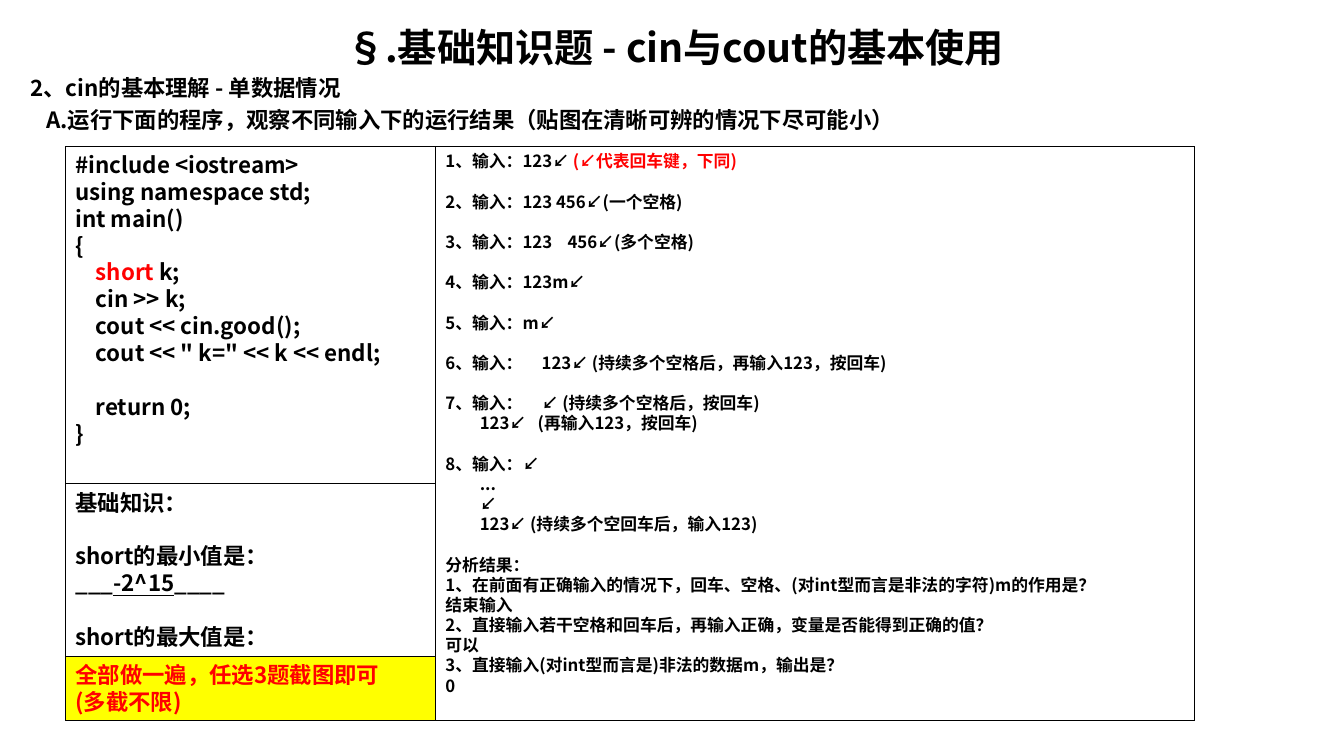
from pptx import Presentation
from pptx.dml.color import RGBColor
from pptx.enum.shapes import MSO_SHAPE as Shape
from pptx.enum.text import MSO_ANCHOR as Anchor, MSO_AUTO_SIZE as Auto, PP_ALIGN as Align
from pptx.oxml.ns import qn
from pptx.util import Inches, Pt
from lxml.etree import SubElement

COLS = [0.2, 0.65, 4.32, 11.85, 13.19]
ROWS = [0.18, 0.69, 1.45, 4.8, 6.51, 7.15]
BLACK, RED, YELLOW = "000000", "FF0000", "FFFF00"

# An empty entry leaves one line free; a leading tab indents the line.
HEAD = ["§.基础知识题 - cin与cout的基本使用"]
LEAD = ["2、cin的基本理解 - 单数据情况",
        "\tA.运行下面的程序，观察不同输入下的运行结果（贴图在清晰可辨的情况下尽可能小）"]
CODE = ["#include <iostream>", "using namespace std;", "int main()", "{",
        ["    ", ("short", {"color": RED}), " k;"],
        "    cin >> k;", "    cout << cin.good();",
        '    cout << " k=" << k << endl;', "", "    return 0;", "}"]
TASKS = [["1、输入：123↙", (" (↙代表回车键，下同)", {"color": RED})], "",
         "2、输入：123 456↙(一个空格)", "",
         "3、输入：123    456↙(多个空格)", "",
         "4、输入：123m↙", "",
         "5、输入：m↙", "",
         "6、输入：     123↙ (持续多个空格后，再输入123，按回车)", "",
         "7、输入：     ↙ (持续多个空格后，按回车)",
         "\t123↙   (再输入123，按回车)", "",
         "8、输入：↙", "\t...", "\t↙",
         "\t123↙ (持续多个空回车后，输入123)", "",
         "分析结果：",
         "1、在前面有正确输入的情况下，回车、空格、(对int型而言是非法的字符)m的作用是？",
         "结束输入",
         "2、直接输入若干空格和回车后，再输入正确，变量是否能得到正确的值？",
         "可以",
         "3、直接输入(对int型而言是)非法的数据m，输出是？",
         "0"]
FACTS = ["基础知识：", "", "short的最小值是：",
         ["___", ("-2^15", {"underline": True}), "____"], "",
         "short的最大值是："]
NOTE = ["全部做一遍，任选3题截图即可", "(多截不限)"]


def paint(text):
    return RGBColor.from_string(text)


class Deck:
    face = "Noto Sans CJK SC"
    ratio = 1.2

    def __init__(self):
        self.show = Presentation()
        self.show.slide_width = Inches(13.33)
        self.show.slide_height = Inches(7.5)
        self.slide = self.show.slides.add_slide(self.show.slide_layouts[1])

    def area(self, left, top, right, end):
        """Turn column and row numbers into left, top, width and height."""
        x, y = COLS[left], ROWS[top]
        return [Inches(v) for v in (x, y, COLS[right] - x, ROWS[end] - y)]

    def holder(self, index, cells, lines, **style):
        shape = self.slide.placeholders[index]
        names = ("left", "top", "width", "height")
        for name, value in zip(names, self.area(*cells)):
            setattr(shape, name, value)
        self.label(shape, lines, **style)

    def box(self, cells, lines=(), fill=None, **style):
        shape = self.slide.shapes.add_shape(Shape.RECTANGLE, *self.area(*cells))
        shape.shadow.inherit = False
        shape.line.color.rgb = paint(BLACK)
        shape.line.width = Pt(0.75)
        if fill:
            shape.fill.solid()
            shape.fill.fore_color.rgb = paint(fill)
        else:
            shape.fill.background()
        if lines:
            self.label(shape, lines, **style)

    def label(self, shape, lines, size=16, color=BLACK, align=Align.LEFT,
              indent=0, space=0):
        frame = shape.text_frame
        form = {"word_wrap": True, "auto_size": Auto.NONE,
                "vertical_anchor": Anchor.TOP,
                "margin_left": Inches(0.1), "margin_right": Inches(0.1),
                "margin_top": Inches(0.05), "margin_bottom": Inches(0.05)}
        for name, value in form.items():
            setattr(frame, name, value)
        pitch = Pt(size * self.ratio)
        para, gap = None, 0
        for line in lines:
            if not line:
                gap = pitch
                continue
            before = Pt(space) + gap if para is not None else 0
            para = frame.add_paragraph() if para is not None else frame.paragraphs[0]
            gap = 0
            form = {"alignment": align, "line_spacing": pitch,
                    "space_before": before, "space_after": 0}
            for name, value in form.items():
                setattr(para, name, value)
            runs = [line] if isinstance(line, str) else line
            deep = isinstance(line, str) and line.startswith("\t")
            props = para._p.get_or_add_pPr()
            props.set("marL", str(Inches(indent) if deep else 0))
            props.set("indent", "0")
            SubElement(props, qn("a:buNone"))
            for item in runs:
                text, extra = (item, {}) if isinstance(item, str) else item
                self.piece(para, text.lstrip("\t"),
                           {"size": size, "color": color, **extra})

    def piece(self, para, text, style):
        run = para.add_run()
        run.text = text
        form = {"name": self.face, "bold": True, "size": Pt(style["size"]),
                "underline": style.get("underline", False)}
        for name, value in form.items():
            setattr(run.font, name, value)
        run.font.color.rgb = paint(style["color"])
        SubElement(run._r.get_or_add_rPr(), qn("a:ea"), typeface=self.face)


def main():
    deck = Deck()
    deck.holder(0, (0, 0, 4, 1), HEAD, size=28, align=Align.CENTER)
    deck.holder(1, (0, 1, 4, 2), LEAD, indent=0.16, space=3.2)
    deck.box((1, 2, 3, 5))
    deck.box((1, 2, 2, 5), CODE)
    deck.box((2, 2, 3, 5), TASKS, size=12, indent=0.34)
    deck.box((1, 3, 2, 5), FACTS)
    deck.box((1, 4, 2, 5), NOTE, fill=YELLOW, color=RED)
    deck.show.save("out.pptx")


if __name__ == "__main__":
    main()
